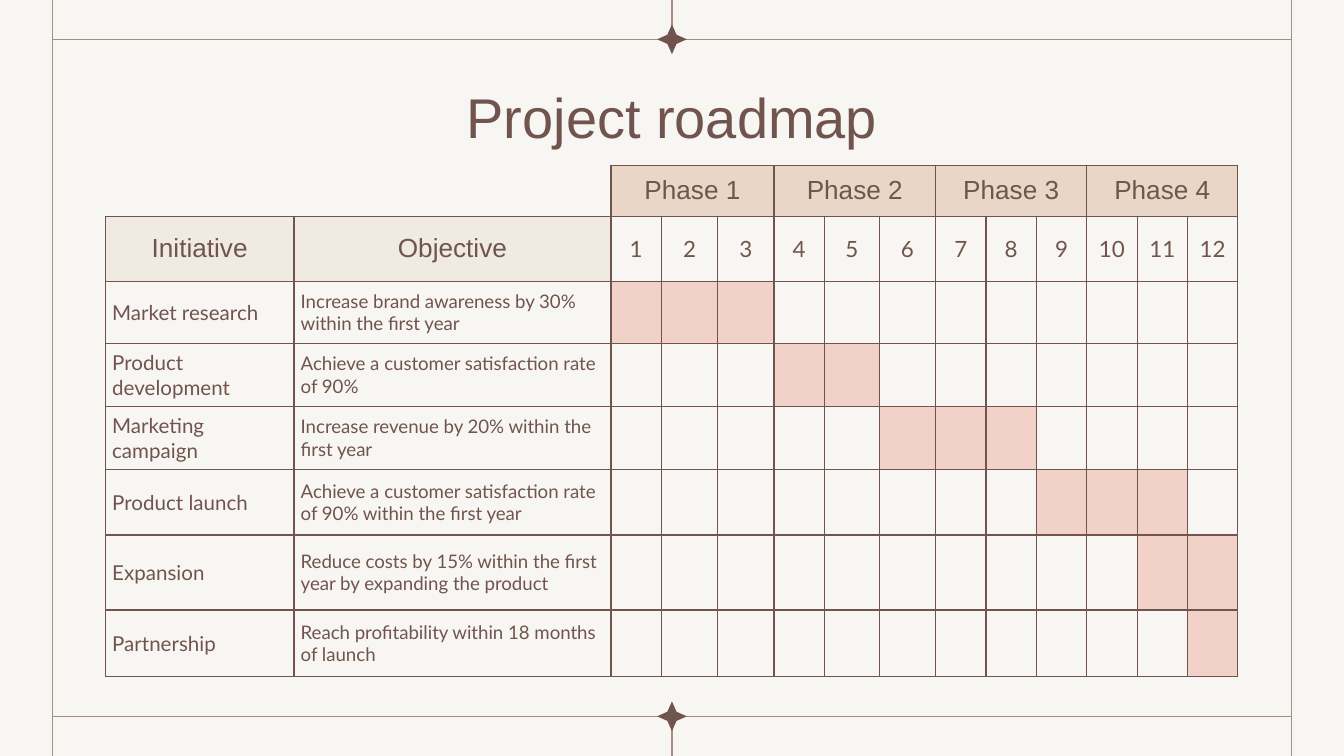
import dataclasses

import lxml.etree
import pptx
import pptx.dml.color
import pptx.enum.shapes
import pptx.enum.text
import pptx.oxml.ns
import pptx.util

Pt = pptx.util.Pt
ALIGN = pptx.enum.text.PP_ALIGN
qn = pptx.oxml.ns.qn


@dataclasses.dataclass(frozen=True)
class Theme:
    background: str = "F8F6F2"
    ink: str = "70544D"
    frame: str = "A78D84"
    phase: str = "EAD6C6"
    header: str = "EFEAE2"
    active: str = "F1D1C8"
    heading_font: str = "Arial"
    body_font: str = "Lato"
    title_size: float = 30
    header_size: float = 14
    number_size: float = 12
    initiative_size: float = 11
    objective_size: float = 10
    line_width: float = 0.75


PHASES = ["Phase 1", "Phase 2", "Phase 3", "Phase 4"]
MONTHS_PER_PHASE = 3
INITIATIVES = [
    ("Market research", "Increase brand awareness by 30% within the first year", 1, 3),
    ("Product development", "Achieve a customer satisfaction rate of 90%", 4, 5),
    ("Marketing campaign", "Increase revenue by 20% within the first year", 6, 8),
    ("Product launch", "Achieve a customer satisfaction rate of 90% within the first year", 9, 11),
    ("Expansion", "Reduce costs by 15% within the first year by expanding the product", 11, 12),
    ("Partnership", "Reach profitability within 18 months of launch", 12, 12),
]
COLUMN_WIDTHS = [101, 169.8, 27, 30.2, 30.2, 27, 29.4, 30.2] + [27] * 6
ROW_HEIGHTS = [27.4, 34.8, 33.4, 33.6, 33.6, 35.3, 40.2, 35.7]


class SlideBuilder:
    def __init__(self, slide, theme):
        self.s = slide
        self.theme = theme
        self.s.background.fill.solid()
        self.s.background.fill.fore_color.rgb = self.rgb(theme.background)

    def rgb(self, color):
        return pptx.dml.color.RGBColor.from_string(color)

    def text(self, tf, text, size, font, align):
        p = tf.paragraphs[0]
        p.text = text
        p.alignment = align
        p.font.size = Pt(size)
        p.font.name = font
        p.font.color.rgb = self.rgb(self.theme.ink)

    def line(self, x1, y1, x2, y2):
        kind = pptx.enum.shapes.MSO_CONNECTOR.STRAIGHT
        sp = self.s.shapes.add_connector(kind, Pt(x1), Pt(y1), Pt(x2), Pt(y2))
        sp.line.color.rgb = self.rgb(self.theme.frame)
        sp.line.width = Pt(self.theme.line_width)
        lxml.etree.SubElement(sp._element.spPr, qn("a:effectLst"))

    def star(self, x, y, size):
        kind = pptx.enum.shapes.MSO_SHAPE.STAR_4_POINT
        sp = self.s.shapes.add_shape(kind, Pt(x - size / 2), Pt(y - size / 2), Pt(size), Pt(size))
        sp.adjustments[0] = 0.216
        sp.shadow.inherit = False
        sp.fill.solid()
        sp.fill.fore_color.rgb = self.rgb(self.theme.ink)
        sp.line.fill.background()

    def title(self, text, x, y, w, h):
        tf = self.s.shapes.add_textbox(Pt(x), Pt(y), Pt(w), Pt(h)).text_frame
        tf.word_wrap = True
        tf.margin_top = Pt(9)
        self.text(tf, text, self.theme.title_size, self.theme.heading_font, ALIGN.CENTER)

    def table(self, x, y, widths, heights):
        sp = self.s.shapes.add_table(
            len(heights), len(widths), Pt(x), Pt(y), Pt(sum(widths)), Pt(sum(heights)))
        table = sp.table
        table.first_row = table.horz_banding = False
        for column, width in zip(table.columns, widths):
            column.width = Pt(width)
        for row, height in zip(table.rows, heights):
            row.height = Pt(height)
        return table

    def cell(self, cell, fill=None, sides="LRTB", margin=0):
        cell.margin_left = cell.margin_right = Pt(margin)
        cell.margin_top = cell.margin_bottom = Pt(margin)
        cell.vertical_anchor = pptx.enum.text.MSO_ANCHOR.MIDDLE
        tcPr = cell._tc.get_or_add_tcPr()
        for side in "LRTB":
            ln = lxml.etree.SubElement(tcPr, qn("a:ln" + side), w=str(Pt(self.theme.line_width)))
            if side in sides:
                paint = lxml.etree.SubElement(ln, qn("a:solidFill"))
                lxml.etree.SubElement(paint, qn("a:srgbClr"), val=self.theme.ink)
            else:
                lxml.etree.SubElement(ln, qn("a:noFill"))
        if fill:
            cell.fill.solid()
            cell.fill.fore_color.rgb = self.rgb(fill)
        else:
            cell.fill.background()

    def frame(self, left, right, top, bottom, width, height):
        center = width / 2
        for x in (left, right):
            self.line(x, 0, x, height)
        for y, edge in ((top, 0), (bottom, height)):
            self.line(left, y, right, y)
            self.line(center, y, center, edge)
            self.star(center, y, 16)

    def roadmap(self, x, y):
        t = self.theme
        table = self.table(x, y, COLUMN_WIDTHS, ROW_HEIGHTS)
        months = range(1, len(PHASES) * MONTHS_PER_PHASE + 1)

        self.cell(table.cell(0, 0), sides="B")
        self.cell(table.cell(0, 1), sides="RB")
        for i, phase in enumerate(PHASES):
            first = 2 + i * MONTHS_PER_PHASE
            last = first + MONTHS_PER_PHASE - 1
            for column in range(first, last + 1):
                self.cell(table.cell(0, column), t.phase)
            table.cell(0, first).merge(table.cell(0, last))
            self.text(table.cell(0, first).text_frame, phase,
                      t.header_size, t.heading_font, ALIGN.CENTER)

        for column, label in enumerate(("Initiative", "Objective")):
            cell = table.cell(1, column)
            self.cell(cell, t.header)
            self.text(cell.text_frame, label, t.header_size, t.heading_font, ALIGN.CENTER)
        for month in months:
            cell = table.cell(1, month + 1)
            self.cell(cell)
            self.text(cell.text_frame, str(month), t.number_size, t.body_font, ALIGN.CENTER)

        sizes = (t.initiative_size, t.objective_size)
        for row, (initiative, objective, start, end) in enumerate(INITIATIVES, 2):
            for column, text in enumerate((initiative, objective)):
                cell = table.cell(row, column)
                self.cell(cell, margin=3.6)
                self.text(cell.text_frame, text, sizes[column], t.body_font, ALIGN.LEFT)
            for month in months:
                self.cell(table.cell(row, month + 1), t.active if start <= month <= end else None)


def main():
    prs = pptx.Presentation()
    prs.slide_width, prs.slide_height = Pt(720), Pt(405)
    s = prs.slides.add_slide(prs.slide_layouts[6])
    builder = SlideBuilder(s, Theme())
    builder.frame(28.1, 691.9, 21.1, 383.8, 720, 405)
    builder.title("Project roadmap", 56.5, 35.3, 607, 45.4)
    builder.roadmap(56.5, 88.5)
    prs.save("out.pptx")


if __name__ == "__main__":
    main()
